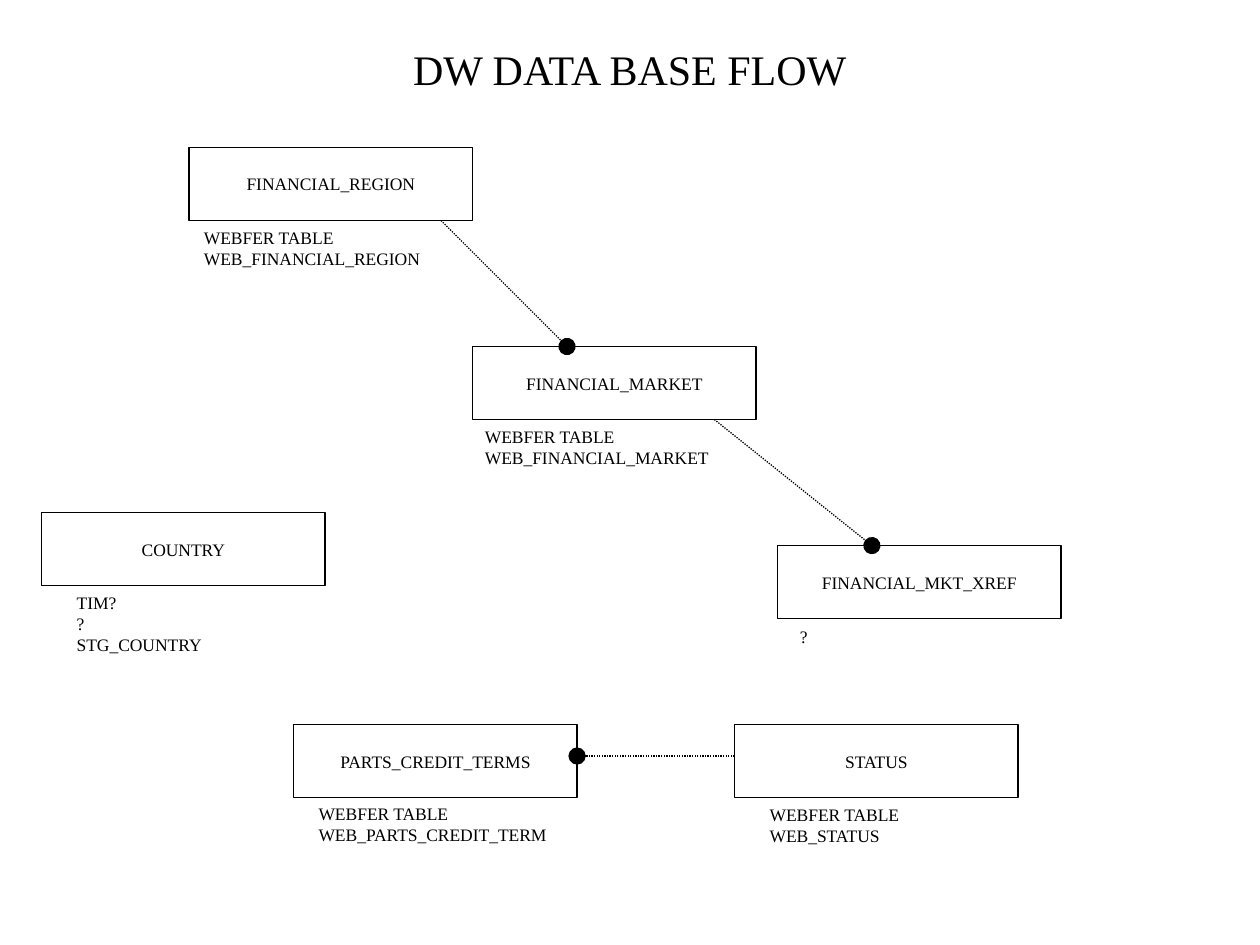
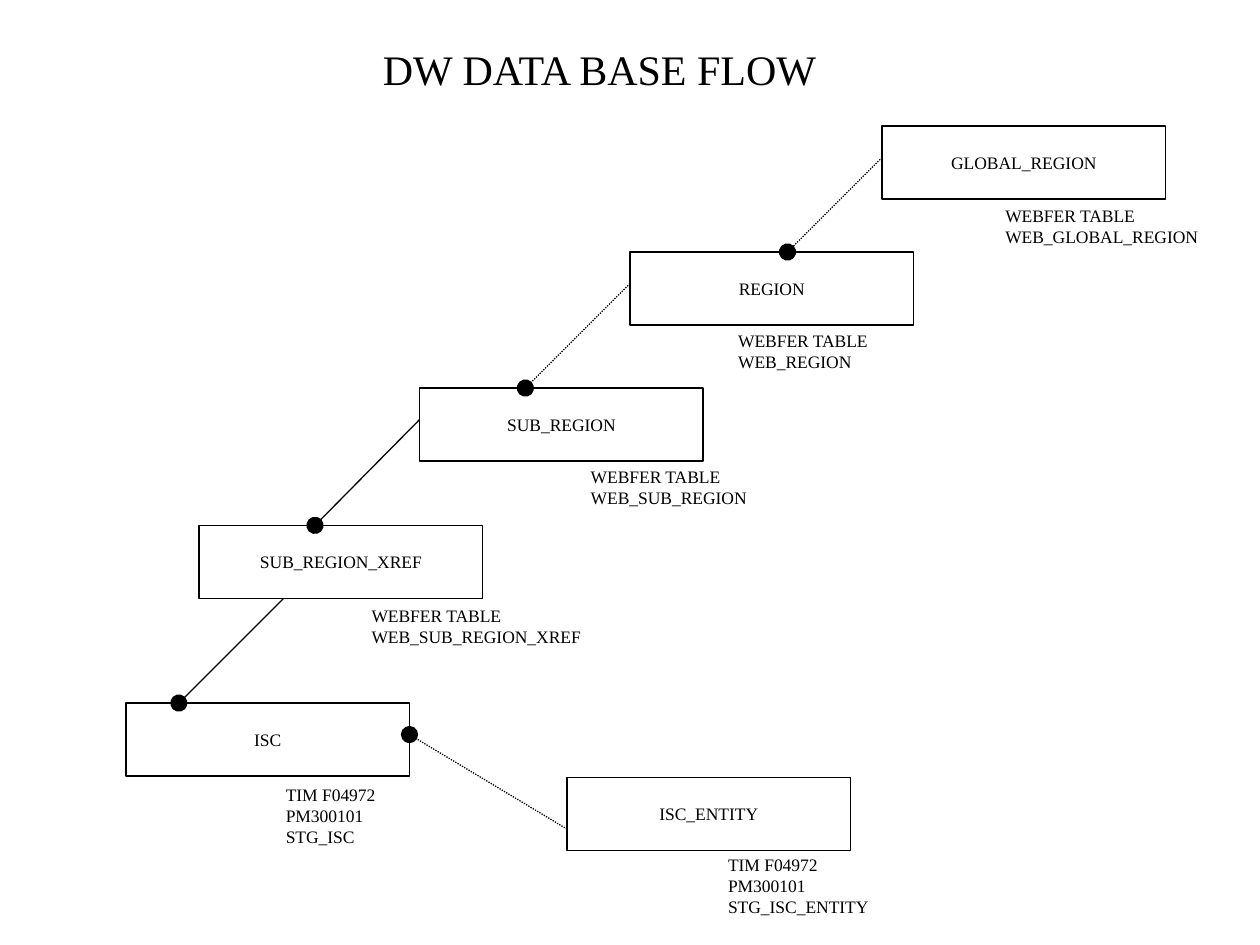
from lxml.etree import SubElement
from pptx import Presentation
from pptx.dml.color import RGBColor
from pptx.enum.dml import MSO_LINE
from pptx.enum.shapes import MSO_CONNECTOR, MSO_SHAPE
from pptx.enum.text import MSO_ANCHOR, MSO_AUTO_SIZE, PP_ALIGN
from pptx.oxml.ns import qn
from pptx.util import Inches, Pt

INK = "000000"
FONT = "Times New Roman"
TITLE = "DW DATA BASE FLOW"
ENTITY_WIDTH, ENTITY_HEIGHT = 2.25, 0.58
WEBFER = "WEBFER TABLE"
TIM_LINES = ["TIM F04972", "PM300101"]

FINANCE_ENTITIES = [
    ("FINANCIAL_REGION", 1.5, 1.17),
    ("FINANCIAL_MARKET", 3.75, 2.75),
    ("FINANCIAL_MKT_XREF", 6.17, 4.33),
    ("COUNTRY", 0.33, 4.07),
    ("PARTS_CREDIT_TERMS", 2.33, 5.75),
    ("STATUS", 5.83, 5.75),
]
FINANCE_SOURCES = [
    ([WEBFER, "WEB_FINANCIAL_REGION"], 1.52, 1.75, 1.94),
    ([WEBFER, "WEB_FINANCIAL_MARKET"], 3.75, 3.33, 2),
    (["?"], 6.25, 4.92, 0.28),
    (["TIM?", "?", "STG_COUNTRY"], 0.51, 4.65, 1.22),
    ([WEBFER, "WEB_PARTS_CREDIT_TERM"], 2.43, 6.32, 2.05),
    ([WEBFER, "WEB_STATUS"], 6.01, 6.33, 1.26),
]
FINANCE_RELATIONS = [
    ((3.5, 1.75), (4.5, 2.75), True),
    ((5.67, 3.33), (6.92, 4.33), True),
    ((5.83, 6), (4.58, 6), True),
]

REGION_ENTITIES = [
    ("GLOBAL_REGION", 7, 1),
    ("REGION", 5, 2),
    ("SUB_REGION", 3.33, 3.08),
    ("SUB_REGION_XREF", 1.58, 4.17),
    ("ISC", 1, 5.58),
    ("ISC_ENTITY", 4.5, 6.17),
]
REGION_SOURCES = [
    ([WEBFER, "WEB_GLOBAL_REGION"], 7.88, 1.58, 1.75),
    ([WEBFER, "WEB_REGION"], 5.76, 2.57, 1.26),
    ([WEBFER, "WEB_SUB_REGION"], 4.59, 3.65, 1.46),
    ([WEBFER, "WEB_SUB_REGION_XREF"], 2.85, 4.75, 1.88),
    (TIM_LINES + ["STG_ISC"], 2.17, 6.17, 0.93),
    (TIM_LINES + ["STG_ISC_ENTITY"], 5.68, 6.73, 1.34),
]
REGION_RELATIONS = [
    ((7, 1.25), (6.25, 2), True),
    ((5, 2.25), (4.17, 3.08), True),
    ((3.33, 3.33), (2.5, 4.17), False),
    ((2.25, 4.75), (1.42, 5.58), False),
    ((4.5, 6.58), (3.25, 5.83), True),
]


def color(value):
    """Turn a hex string into a colour."""
    return RGBColor.from_string(value)


def write_lines(frame, lines, size, align):
    """Write each line as a paragraph of an unwrapped text frame."""
    frame.word_wrap = False
    for index, line in enumerate(lines):
        para = frame.add_paragraph() if index else frame.paragraphs[0]
        para.alignment = align
        span = para.add_run()
        span.text = line
        span.font.name = FONT
        span.font.size = Pt(size)
        span.font.color.rgb = color(INK)


def add_label(page, lines, left, top, width, size=10):
    """Add left-aligned text in a box as tall as its lines."""
    height = 0.1 + len(lines) * size / 60
    box = page.shapes.add_textbox(Inches(left), Inches(top), Inches(width), Inches(height))
    write_lines(box.text_frame, lines, size, PP_ALIGN.LEFT)
    box.text_frame.auto_size = MSO_AUTO_SIZE.SHAPE_TO_FIT_TEXT


def add_entity(page, name, left, top):
    """Add an outlined rectangle with the entity name in its centre."""
    box = page.shapes.add_shape(
        MSO_SHAPE.RECTANGLE, Inches(left), Inches(top), Inches(ENTITY_WIDTH), Inches(ENTITY_HEIGHT)
    )
    box.shadow.inherit = False
    box.fill.background()
    box.line.color.rgb = color(INK)
    box.line.width = Pt(0.75)
    box.text_frame.vertical_anchor = MSO_ANCHOR.MIDDLE
    write_lines(box.text_frame, [name], 10, PP_ALIGN.CENTER)


def add_relation(page, parent, child, dotted):
    """Draw a line from parent to child with a large dot at the child."""
    relation = page.shapes.add_connector(
        MSO_CONNECTOR.STRAIGHT, *[Inches(value) for value in parent + child]
    )
    relation.line.color.rgb = color(INK)
    relation.line.width = Pt(0.75)
    if dotted:
        relation.line.dash_style = MSO_LINE.ROUND_DOT
    properties = relation.element.spPr
    SubElement(properties.find(qn("a:ln")), qn("a:tailEnd"), type="oval", w="lg", len="lg")
    SubElement(properties, qn("a:effectLst"))


def add_flow_page(deck, title_left, entities, sources, relations):
    """Add a titled page of entities, their source tables and relations."""
    page = deck.slides.add_slide(deck.slide_layouts[6])
    add_label(page, [TITLE], title_left, 0.3, 3.73, size=24)
    for entity in entities:
        add_entity(page, *entity)
    for source in sources:
        add_label(page, *source)
    for relation in relations:
        add_relation(page, *relation)


def main():
    """Build the two flow pages and save the deck."""
    deck = Presentation()
    deck.slide_width = Inches(10)
    deck.slide_height = Inches(7.5)
    add_flow_page(deck, 3.18, FINANCE_ENTITIES, FINANCE_SOURCES, FINANCE_RELATIONS)
    add_flow_page(deck, 2.94, REGION_ENTITIES, REGION_SOURCES, REGION_RELATIONS)
    deck.save("out.pptx")


if __name__ == "__main__":
    main()
